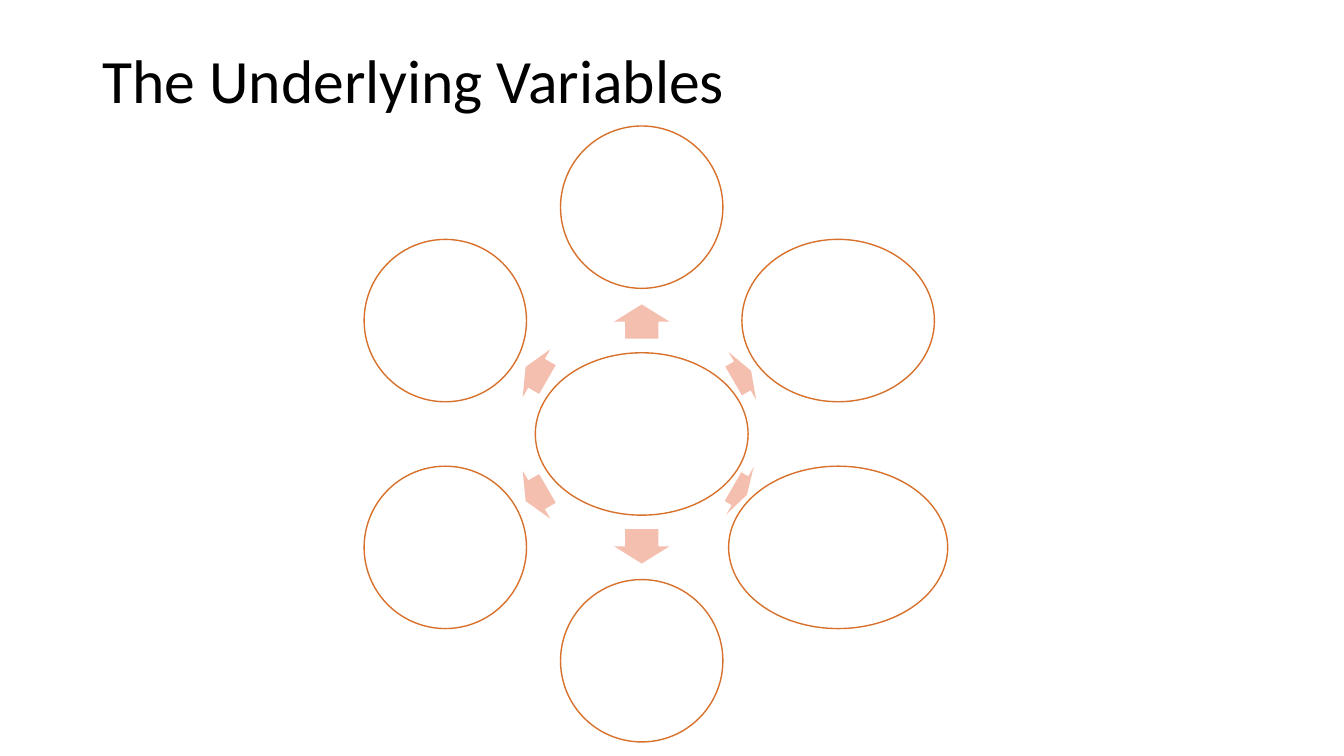
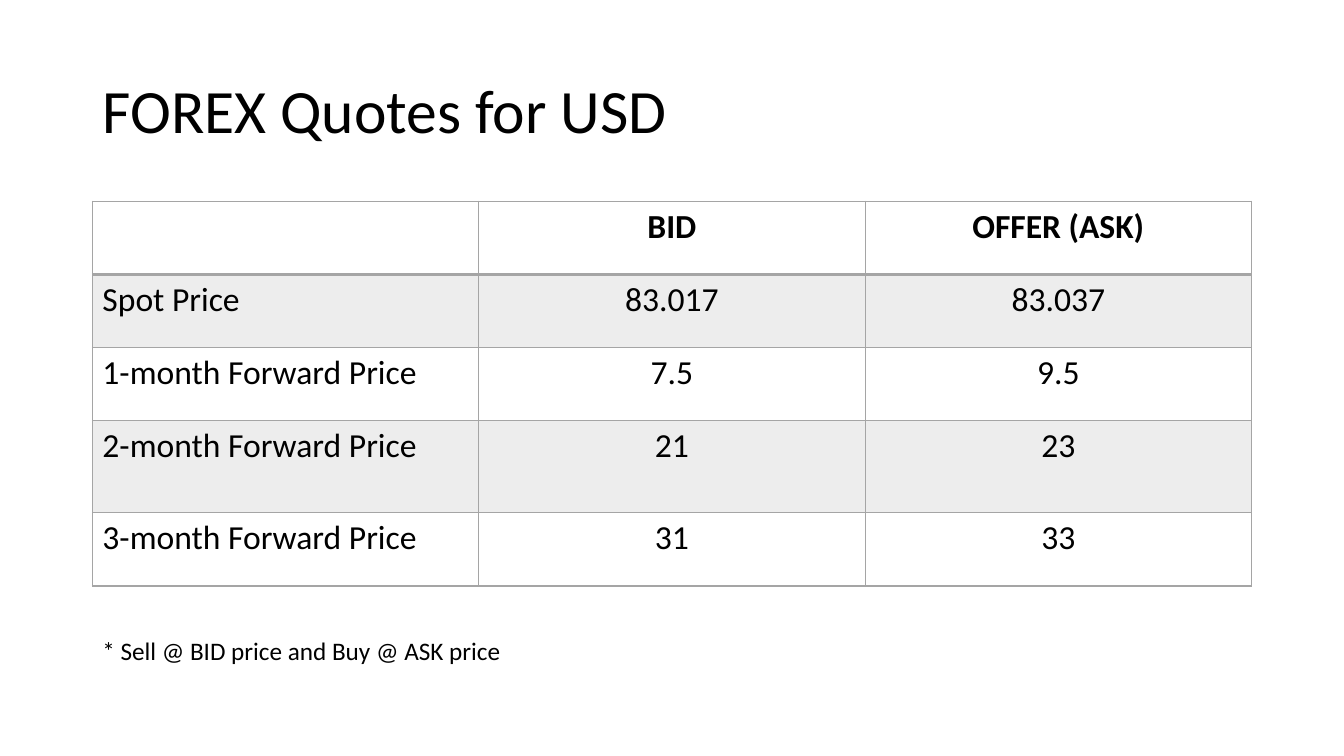
from dataclasses import dataclass
from math import cos, radians, sin

from lxml.etree import SubElement
from pptx import Presentation
from pptx.dml.color import RGBColor
from pptx.enum.shapes import MSO_SHAPE
from pptx.enum.text import MSO_ANCHOR, MSO_AUTO_SIZE, PP_ALIGN
from pptx.oxml.ns import qn
from pptx.util import Pt


@dataclass(frozen=True)
class Theme:
    font: str = "Calibri"
    ink: str = "000000"
    ring: str = "D7712C"
    paper: str = "FFFFFF"
    arrow: str = "F4BFAE"
    grid: str = "A5A5A5"
    band: str = "EDEDED"
    title_size: float = 44
    table_size: float = 24
    note_size: float = 18


THEME = Theme()
MARGIN, CONTENT_WIDTH = 66, 828
TITLE_ONLY = 5

# Radial diagram: direction in degrees (clockwise from right), width of the
# outer oval, then length of the arrow and its distance from the hub.
SPOKES = [
    (270, 116, 24.5, 80.3),
    (330, 137.5, 14.4, 83),
    (30, 156.5, 11.5, 81),
    (90, 116, 24.5, 80.3),
    (150, 116, 18, 86.8),
    (210, 116, 18, 86.8),
]
HUB_WIDTH, OVAL_HEIGHT, ARROW_HEIGHT, ORBIT = 152, 116, 39.5, 162

QUOTES = [
    ("", "BID", "OFFER (ASK)"),
    ("Spot Price", "83.017", "83.037"),
    ("1-month Forward Price", "7.5", "9.5"),
    ("2-month Forward Price", "21", "23"),
    ("3-month Forward Price", "31", "33"),
]
ROW_HEIGHTS = [52.2, 52.2, 52.2, 66, 52.2]


def color(code):
    return RGBColor.from_string(code)


def points(*lengths):
    return [Pt(length) for length in lengths]


def write(frame, text, size, bold=False, align=PP_ALIGN.LEFT, spacing=None):
    """Fill a text frame with one formatted paragraph."""
    paragraph = frame.paragraphs[0]
    paragraph.alignment = align
    paragraph.line_spacing = spacing
    run = paragraph.add_run()
    run.text = text
    style = {"name": THEME.font, "size": Pt(size), "bold": bold}
    for attribute, value in style.items():
        setattr(run.font, attribute, value)
    run.font.color.rgb = color(THEME.ink)


def add_titled_slide(deck, text, title_height):
    slide = deck.slides.add_slide(deck.slide_layouts[TITLE_ONLY])
    title = slide.shapes.title
    box = points(MARGIN, 28.8, CONTENT_WIDTH, title_height)
    for side, length in zip(("left", "top", "width", "height"), box):
        setattr(title, side, length)
    title.text_frame.vertical_anchor = MSO_ANCHOR.MIDDLE
    title.text_frame.auto_size = MSO_AUTO_SIZE.NONE
    write(title.text_frame, text, THEME.title_size, spacing=0.9)
    return slide


def add_centred(shapes, kind, x, y, width, height, fill):
    """Add a filled preset shape whose middle lies at x, y."""
    box = points(x - width / 2, y - height / 2, width, height)
    shape = shapes.add_shape(kind, *box)
    shape.shadow.inherit = False
    shape.fill.solid()
    shape.fill.fore_color.rgb = color(fill)
    shape.line.fill.background()
    return shape


def add_oval(shapes, x, y, width):
    oval = add_centred(shapes, MSO_SHAPE.OVAL, x, y, width, OVAL_HEIGHT, THEME.paper)
    oval.line.color.rgb = color(THEME.ring)
    oval.line.width = Pt(1)


def add_arrow(shapes, x, y, length, angle):
    arrow = add_centred(shapes, MSO_SHAPE.RIGHT_ARROW, x, y, length, ARROW_HEIGHT, THEME.arrow)
    arrow.adjustments[0] = 0.6
    arrow.adjustments[1] = 0.5
    arrow.rotation = angle


def add_radial_diagram(slide, hub_x, hub_y):
    shapes = slide.shapes.add_group_shape().shapes
    add_oval(shapes, hub_x, hub_y, HUB_WIDTH)
    for angle, oval_width, arrow_length, arrow_distance in SPOKES:
        dx, dy = cos(radians(angle)), sin(radians(angle))
        add_arrow(shapes, hub_x + arrow_distance * dx, hub_y + arrow_distance * dy,
                  arrow_length, angle)
        add_oval(shapes, hub_x + ORBIT * dx, hub_y + ORBIT * dy, oval_width)


def set_borders(cell, widths):
    """Draw the cell's edges; widths maps L, R, T and B, in that order, to points."""
    properties = cell._tc.get_or_add_tcPr()
    for position, (edge, width) in enumerate(widths.items()):
        line = SubElement(properties, qn(f"a:ln{edge}"), w=str(Pt(width)))
        fill = SubElement(line, qn("a:solidFill"))
        SubElement(fill, qn("a:srgbClr"), val=THEME.grid)
        properties.insert(position, line)


def add_quote_table(slide, left, top, width):
    column_count = len(QUOTES[0])
    box = points(left, top, width, sum(ROW_HEIGHTS))
    table = slide.shapes.add_table(len(QUOTES), column_count, *box).table
    table.first_row = table.horz_banding = False
    for column in table.columns:
        column.width = Pt(width / column_count)
    for r, (quote, height) in enumerate(zip(QUOTES, ROW_HEIGHTS)):
        table.rows[r].height = Pt(height)
        for c, text in enumerate(quote):
            cell = table.cell(r, c)
            cell.fill.solid()
            cell.fill.fore_color.rgb = color(THEME.band if r % 2 else THEME.paper)
            set_borders(cell, {"L": 1, "R": 1, "T": 2 if r == 1 else 1,
                               "B": 2 if r == 0 else 1})
            if text:
                write(cell.text_frame, text, THEME.table_size, bold=r == 0,
                      align=PP_ALIGN.CENTER if c else PP_ALIGN.LEFT)


def add_footnote(slide, text, left, top, width, height):
    frame = slide.shapes.add_textbox(*points(left, top, width, height)).text_frame
    frame.word_wrap = True
    frame.auto_size = MSO_AUTO_SIZE.SHAPE_TO_FIT_TEXT
    write(frame, text, THEME.note_size)


def main():
    deck = Presentation()
    deck.slide_width, deck.slide_height = points(960, 540)

    variables = add_titled_slide(deck, "The Underlying Variables", 61.2)
    add_radial_diagram(variables, hub_x=458.4, hub_y=310)

    quotes = add_titled_slide(deck, "FOREX Quotes for USD", 104.4)
    add_quote_table(quotes, MARGIN, 143.8, CONTENT_WIDTH)
    add_footnote(quotes, "* Sell @ BID price and Buy @ ASK price", MARGIN, 450, 310.3, 29)

    deck.save("out.pptx")


if __name__ == "__main__":
    main()
